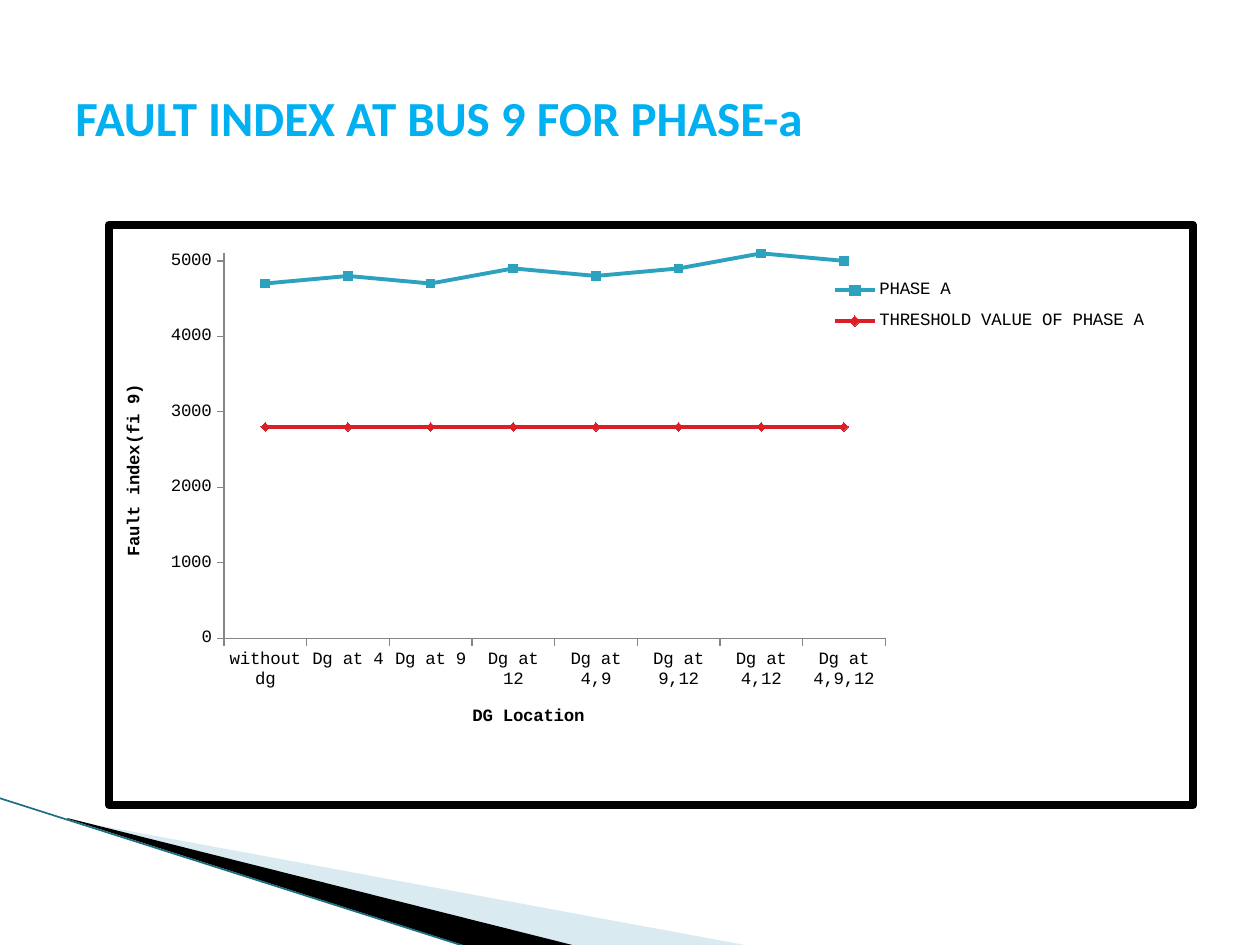
from lxml.etree import SubElement
from pptx import Presentation
from pptx.chart.data import CategoryChartData
from pptx.dml.color import RGBColor
from pptx.enum.chart import XL_CHART_TYPE as ChartType, XL_LEGEND_POSITION as LegendPosition
from pptx.enum.chart import XL_MARKER_STYLE as Marker, XL_TICK_MARK as Tick
from pptx.enum.shapes import MSO_CONNECTOR as Connector
from pptx.enum.text import MSO_ANCHOR as Anchor
from pptx.oxml import parse_xml
from pptx.oxml.ns import nsdecls, qn
from pptx.util import Emu, Pt

EMU_PER_PX = 914400 / 126
CHART_WIDTH, CHART_HEIGHT = 1092, 588
LOCATIONS = ["without dg", "Dg at 4", "Dg at 9", "Dg at 12",
             "Dg at 4,9", "Dg at 9,12", "Dg at 4,12", "Dg at 4,9,12"]
PHASE_A = [4700, 4800, 4700, 4900, 4800, 4900, 5100, 5000]
THRESHOLD = [2800] * len(LOCATIONS)


def px(length):
    return Emu(round(length * EMU_PER_PX))


def color(value):
    return RGBColor.from_string(value)


def write_text(frame, text, font="Courier New", size=10, ink="000000", bold=False):
    run = frame.paragraphs[0].add_run()
    run.text = text
    run.font.name = font
    run.font.size = Pt(size)
    run.font.bold = bold
    run.font.color.rgb = color(ink)


def add_title(slide, text):
    title = slide.shapes.add_textbox(px(63), px(38), px(1134), px(158))
    title.text_frame.word_wrap = True
    title.text_frame.vertical_anchor = Anchor.MIDDLE
    write_text(title.text_frame, text, font="Calibri", size=28, ink="00B0F0", bold=True)


def set_bounds(wedge, points, left, top, width, height):
    wedge.left, wedge.top = px(left), px(top)
    wedge.width, wedge.height = px(width), px(height)
    outline = next(wedge._element.iter(qn("a:path")))
    outline.set("w", str(width))
    outline.set("h", str(height))
    for corner, (x, y) in zip(outline.iter(qn("a:pt")), points):
        corner.set("x", str(x - left))
        corner.set("y", str(y - top))


def add_wedge(slide, points, bounds, fill, opacity=100):
    builder = slide.shapes.build_freeform(*points[0], scale=EMU_PER_PX)
    builder.add_line_segments(points[1:], close=True)
    wedge = builder.convert_to_shape()
    set_bounds(wedge, points, *bounds)
    wedge.shadow.inherit = False
    wedge.fill.solid()
    wedge.fill.fore_color.rgb = color(fill)
    wedge.line.fill.background()
    if opacity < 100:
        tint = wedge.fill._xPr.find(".//" + qn("a:srgbClr"))
        SubElement(tint, qn("a:alpha"), val=str(opacity * 1000))


def add_edge(slide, start, end, ink, width):
    edge = slide.shapes.add_connector(Connector.STRAIGHT, *map(px, start + end))
    edge.line.color.rgb = color(ink)
    edge.line.width = Pt(width)
    SubElement(edge._element.spPr, qn("a:effectLst"))


def place(parent, following_tag, x, y, w=None, h=None, inner=False):
    for old in parent.findall(qn("c:layout")):
        parent.remove(old)
    layout = SubElement(parent, qn("c:layout"))
    manual = SubElement(layout, qn("c:manualLayout"))
    if inner:
        SubElement(manual, qn("c:layoutTarget"), val="inner")
    SubElement(manual, qn("c:xMode"), val="edge")
    SubElement(manual, qn("c:yMode"), val="edge")
    for side, length, whole in (("x", x, CHART_WIDTH), ("y", y, CHART_HEIGHT),
                                ("w", w, CHART_WIDTH), ("h", h, CHART_HEIGHT)):
        if length is not None:
            SubElement(manual, qn("c:" + side), val=str(length / whole))
    following = parent.find(qn(following_tag))
    if following is not None:
        following.addprevious(layout)


def style_axis(axis, title, x, y):
    axis.has_major_gridlines = False
    axis.major_tick_mark = Tick.OUTSIDE
    axis.minor_tick_mark = Tick.NONE
    axis.format.line.color.rgb = color("868686")
    axis.format.line.width = Pt(0.75)
    axis.has_title = True
    write_text(axis.axis_title.text_frame, title, bold=True)
    place(axis.axis_title._element, "c:overlay", x, y)


def style_series(series, ink, marker):
    series.smooth = False
    series.format.line.color.rgb = color(ink)
    series.format.line.width = Pt(2.25)
    series.marker.style = marker
    series.marker.size = 5
    series.marker.format.fill.solid()
    series.marker.format.fill.fore_color.rgb = color(ink)
    series.marker.format.line.color.rgb = color(ink)


def frame_chart(chart, fill, border, width):
    chart._chartSpace.find(qn("c:chart")).addnext(parse_xml(
        f'<c:spPr {nsdecls("c", "a")}>'
        f'<a:solidFill><a:srgbClr val="{fill}"/></a:solidFill>'
        f'<a:ln w="{Pt(width)}"><a:solidFill><a:srgbClr val="{border}"/></a:solidFill>'
        '<a:round/></a:ln></c:spPr>'))


def add_fault_chart(slide):
    data = CategoryChartData(number_format="General")
    data.categories = LOCATIONS
    data.add_series("PHASE A", PHASE_A)
    data.add_series("THRESHOLD VALUE OF PHASE A", THRESHOLD)
    chart = slide.shapes.add_chart(ChartType.LINE_MARKERS, px(105), px(221),
                                   px(CHART_WIDTH), px(CHART_HEIGHT), data).chart
    chart.has_title = False
    chart.font.name = "Courier New"
    chart.font.size = Pt(10)
    chart.font.color.rgb = color("000000")
    plot = chart.plots[0]
    plot.vary_by_categories = False
    looks = [("2DA2BF", Marker.SQUARE), ("DA1F28", Marker.DIAMOND)]
    for series, (ink, marker) in zip(plot.series, looks):
        style_series(series, ink, marker)
    style_axis(chart.category_axis, "DG Location", 363, 483)
    style_axis(chart.value_axis, "Fault index(fi 9)", 11, 159)
    chart.value_axis.minimum_scale = 0
    chart.value_axis.maximum_scale = 5100
    chart.value_axis.major_unit = 1000
    chart.has_legend = True
    chart.legend.position = LegendPosition.RIGHT
    chart.legend.include_in_layout = False
    place(chart.legend._element, "c:overlay", 718, 45, 338, 74)
    plot_area = chart._chartSpace.chart.plotArea
    place(plot_area, "c:lineChart", 116, 29, 666, 390, inner=True)
    frame_chart(chart, "FFFFFF", "000000", 4.33)


def main():
    deck = Presentation()
    deck.slide_width, deck.slide_height = px(1260), px(945)
    slide = deck.slides.add_slide(deck.slide_layouts[6])
    add_wedge(slide, [(69, 820), (750, 946), (575, 946), (69, 819)],
              (98, 689, 524, 199), "A0CBDC", opacity=40)
    add_wedge(slide, [(67, 818), (576, 946), (469, 947), (68, 819)],
              (-8, 798, 524, 116), "000000")
    add_edge(slide, (-1, 798), (467, 947), "1B6F82", 0.95)
    add_title(slide, "FAULT INDEX AT BUS 9 FOR PHASE-a")
    add_fault_chart(slide)
    deck.save("out.pptx")


if __name__ == "__main__":
    main()
